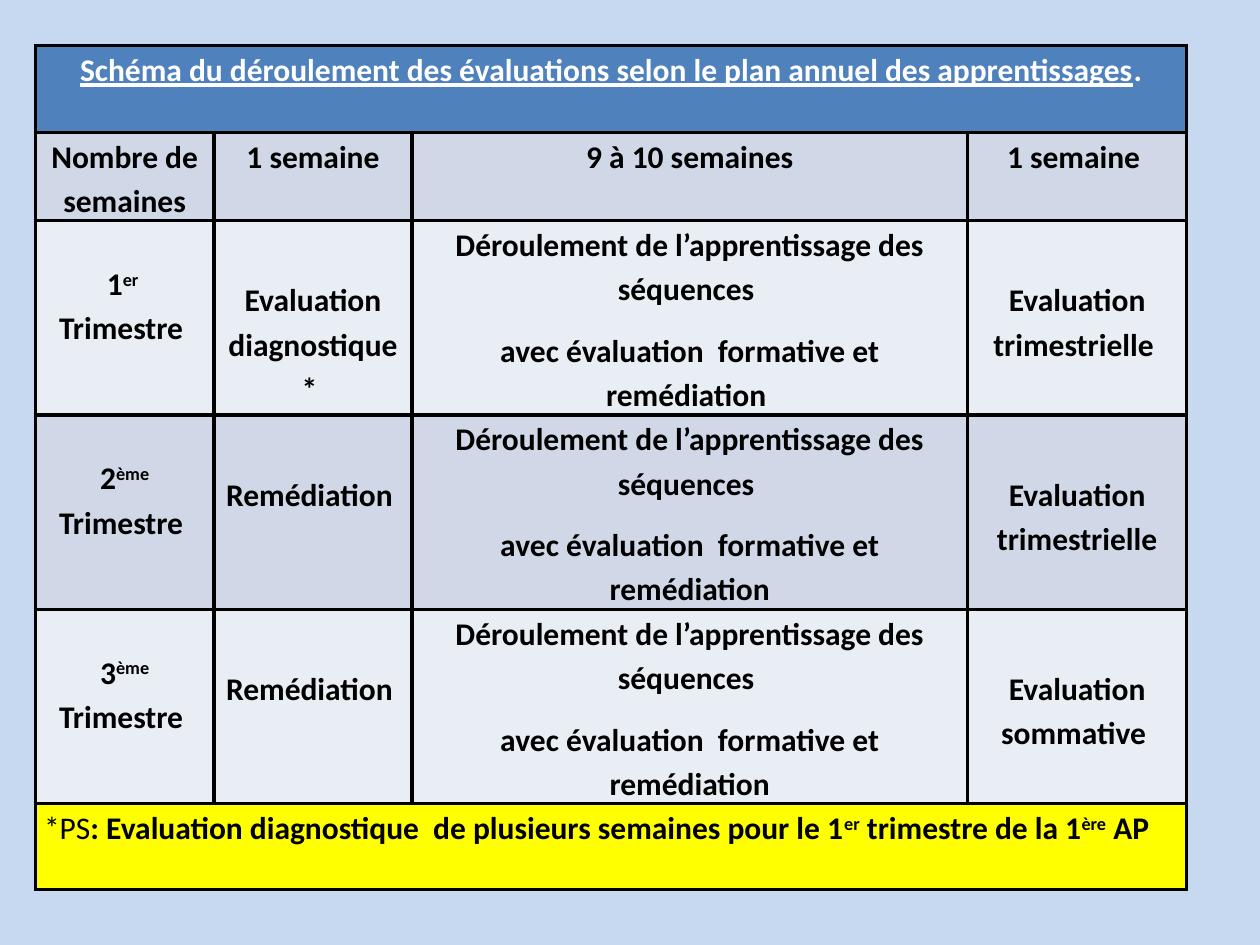
from lxml.etree import SubElement
from pptx import Presentation
from pptx.dml.color import RGBColor
from pptx.enum.text import PP_ALIGN
from pptx.oxml.ns import qn
from pptx.util import Inches, Pt

# Content: a tuple holds paragraphs, ^...^ marks superscript
TITLE = "Schéma du déroulement des évaluations selon le plan annuel des apprentissages"
HEADS = ["Nombre de semaines", "1 semaine", "9 à 10 semaines", "1 semaine "]
COURSE = "Déroulement de l’apprentissage des séquences "
FORM = "avec évaluation  formative et remédiation"
TERMS = [
    [("1^er ^", "Trimestre "), "Evaluation diagnostique* ",
     (COURSE, FORM + " "), "Evaluation trimestrielle "],
    [("2^ème^ Trimestre ",), "Remédiation ",
     (COURSE, FORM), "Evaluation trimestrielle"],
    [("3^ème^ Trimestre ",), "Remédiation ",
     (COURSE, FORM), "Evaluation sommative "],
]
NOTE = ("*PS", ": Evaluation diagnostique  de plusieurs semaines pour le "
        "1^er^ trimestre de la 1^ère^ AP")

# Look and layout
THEME = {
    "font": "Calibri", "size": Pt(18), "line": Pt(2.25),
    "back": "C6D9F1", "title": "4F81BD", "dark": "D0D8E8",
    "light": "E9EDF4", "note": "FFFF00", "ink": "000000", "white": "FFFFFF",
}
LEFT, TOP = 0.28, 0.36
COLS = [1.42, 1.57, 4.41, 1.74]
ROWS = [0.69, 0.69] + [1.52] * len(TERMS) + [0.68]
DROPS = [0.31, 0.44, 0, 0.44]  # top inset of each column in the term rows


def color(name):
    return RGBColor.from_string(THEME[name])


def write(para, text, ink="ink", bold=True, line=False):
    """Add text to a paragraph, raising the parts between ^ marks."""
    for i, part in enumerate(text.split("^")):
        if not part:
            continue
        run = para.add_run()
        run.text = part
        font = run.font
        font.name, font.size = THEME["font"], THEME["size"]
        font.bold, font.underline = bold, line
        font.color.rgb = color(ink)
        if i % 2:
            run._r.get_or_add_rPr().set("baseline", "30000")


def frame(cell):
    """Draw the four borders of a cell."""
    props = cell._tc.get_or_add_tcPr()
    for side in ("lnL", "lnR", "lnT", "lnB"):
        edge = SubElement(props, qn("a:" + side), w=str(int(THEME["line"])))
        fill = SubElement(edge, qn("a:solidFill"))
        SubElement(fill, qn("a:srgbClr"), val=THEME["ink"])


def paint(cell, name):
    cell.fill.solid()
    cell.fill.fore_color.rgb = color(name)


def inset(cell, top=0):
    cell.margin_left = cell.margin_right = Inches(0.07)
    cell.margin_top, cell.margin_bottom = Inches(top), 0


def fill_cell(cell, text, shade, after, top=0):
    paint(cell, shade)
    inset(cell, top)
    parts = text if isinstance(text, tuple) else (text,)
    for i, part in enumerate(parts):
        para = cell.text_frame.add_paragraph() if i else cell.text_frame.paragraphs[0]
        para.alignment = PP_ALIGN.CENTER
        para.line_spacing, para.space_after = 1.15, Pt(after)
        write(para, part)


# Slide
deck = Presentation()
deck.slide_width, deck.slide_height = Inches(10), Inches(7.5)
slide = deck.slides.add_slide(deck.slide_layouts[6])
slide.background.fill.solid()
slide.background.fill.fore_color.rgb = color("back")

# Table grid
grid = slide.shapes.add_table(
    len(ROWS), len(COLS), Inches(LEFT), Inches(TOP),
    Inches(sum(COLS)), Inches(sum(ROWS))).table
for col, width in zip(grid.columns, COLS):
    col.width = Inches(width)
for row, height in zip(grid.rows, ROWS):
    row.height = Inches(height)
for cell in grid.iter_cells():
    frame(cell)

# Title and note span the whole width
last = len(ROWS) - 1
for r, shade in ((0, "title"), (last, "note")):
    grid.cell(r, 0).merge(grid.cell(r, len(COLS) - 1))
    paint(grid.cell(r, 0), shade)
para = grid.cell(0, 0).text_frame.paragraphs[0]
para.alignment = PP_ALIGN.CENTER
write(para, TITLE, "white", line=True)
write(para, ".", "white")

inset(grid.cell(last, 0))
para = grid.cell(last, 0).text_frame.paragraphs[0]
para.line_spacing = 1.15
write(para, NOTE[0], bold=False)
write(para, NOTE[1])

# Headings and terms
for c, head in enumerate(HEADS):
    fill_cell(grid.cell(1, c), head, "dark", 10 if c else 0)
for r, term in enumerate(TERMS):
    for c, text in enumerate(term):
        fill_cell(grid.cell(r + 2, c), text, "dark" if r % 2 else "light",
                  10 if c else 0, DROPS[c])

deck.save("out.pptx")
